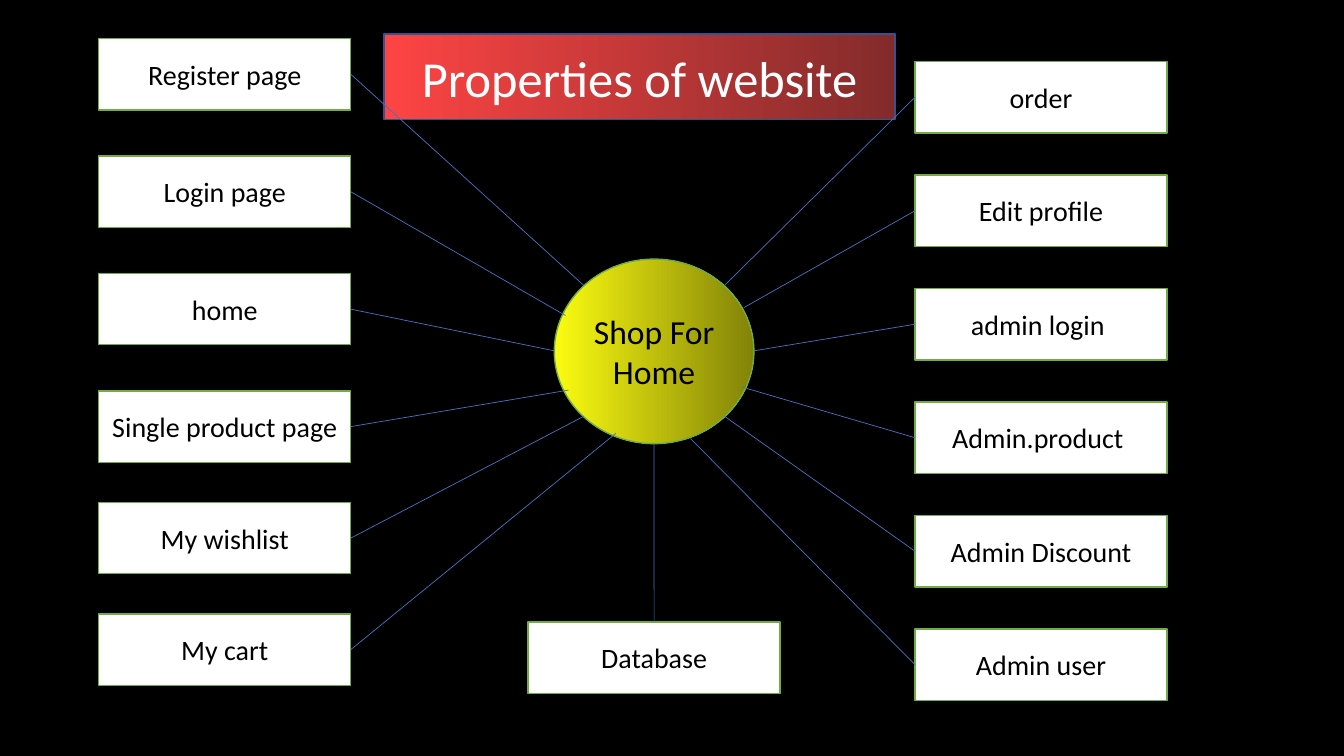
from pptx import Presentation
from pptx.dml.color import RGBColor
from pptx.enum import shapes, text
from pptx.oxml.ns import qn
from pptx.util import Cm, Pt
from lxml import etree

HUES = {
    "back": "000000", "ink": "000000", "pale": "FFFFFF",
    "green": "70AD47", "blue": "4472C4", "navy": "325491",
    "lemon": "FBFB11", "olive": "838309",
    "red": "FE4444", "maroon": "832B2B",
}
FONT = "Calibri"
WIDE, HIGH = 6.35, 1.8
LEFT_X, RIGHT_X = 2.49, 23.06

# Each page: label, top of its box, point where its line meets the hub
LEFT = [
    ("Register page", 0.97, (14.71, 7.19)),
    ("Login page", 3.93, (14.25, 7.95)),
    ("home", 6.89, (13.97, 8.84)),
    ("Single product page", 9.85, (14.33, 9.83)),
    ("My wishlist", 12.66, (14.71, 10.49)),
    ("My cart", 15.47, (15.52, 10.92)),
]
RIGHT_TOP, RIGHT_STEP = 1.55, 2.86
RIGHT = [
    ("order", (18.26, 7.19)),
    ("Edit profile", (18.75, 7.75)),
    ("admin login ", (19.0, 8.84)),
    ("Admin.product ", (18.69, 9.75)),
    ("Admin Discount", (18.26, 10.49)),
    ("Admin user", (17.4, 11.05)),
]


def hue(name):
    return RGBColor.from_string(HUES[name])


def add_node(slide, kind, place, label, size, fills, edge="green", ink="ink"):
    """Add a labelled shape; two fill names make a left-to-right gradient."""
    node = slide.shapes.add_shape(kind, *map(Cm, place))
    node.shadow.inherit = False
    if len(fills) == 1:
        node.fill.solid()
        node.fill.fore_color.rgb = hue(fills[0])
    else:
        node.fill.gradient()
        node.fill.gradient_angle = 0
        for stop, name, spot in zip(node.fill.gradient_stops, fills, (0, 1)):
            stop.color.rgb = hue(name)
            stop.position = spot
    node.line.color.rgb = hue(edge)
    node.line.width = Pt(1)
    frame = node.text_frame
    frame.text = label
    frame.word_wrap = True
    frame.vertical_anchor = text.MSO_ANCHOR.MIDDLE
    for para in frame.paragraphs:
        para.alignment = text.PP_ALIGN.CENTER
        for run in para.runs:
            run.font.name = FONT
            run.font.size = Pt(size)
            run.font.color.rgb = hue(ink)
    return node


def add_page(slide, label, left, top):
    place = (left, top, WIDE, HIGH)
    return add_node(slide, shapes.MSO_SHAPE.RECTANGLE, place, label, 20, ["pale"])


def add_link(slide, start, page, side):
    """Draw a line from a point on the hub to the middle of a page's side."""
    x, y = map(Cm, start)
    link = slide.shapes.add_connector(shapes.MSO_CONNECTOR.STRAIGHT, x, y, x, y)
    link.end_connect(page, side)
    link.line.color.rgb = hue("blue")
    link.line.width = Pt(0.5)
    etree.SubElement(link._element.spPr, qn("a:effectLst"))


def main():
    deck = Presentation()
    deck.slide_width, deck.slide_height = Cm(33.87), Cm(19.05)
    slide = deck.slides.add_slide(deck.slide_layouts[6])
    slide.background.fill.solid()
    slide.background.fill.fore_color.rgb = hue("back")

    add_node(slide, shapes.MSO_SHAPE.OVAL, (13.97, 6.53, 5.03, 4.65),
             "Shop For\nHome", 24, ["lemon", "olive"])
    links = []
    for label, top, start in LEFT:
        links.append((start, add_page(slide, label, LEFT_X, top), 3))
    for row, (label, start) in enumerate(RIGHT):
        top = RIGHT_TOP + row * RIGHT_STEP
        links.append((start, add_page(slide, label, RIGHT_X, top), 1))
    links.append(((16.48, 11.18), add_page(slide, "Database", 13.31, 15.67), 0))

    add_node(slide, shapes.MSO_SHAPE.RECTANGLE, (9.68, 0.86, 12.88, 2.16),
             "Properties of website", 36, ["red", "maroon"], "navy", "pale")
    for start, page, side in links:
        add_link(slide, start, page, side)
    deck.save("out.pptx")


if __name__ == "__main__":
    main()
